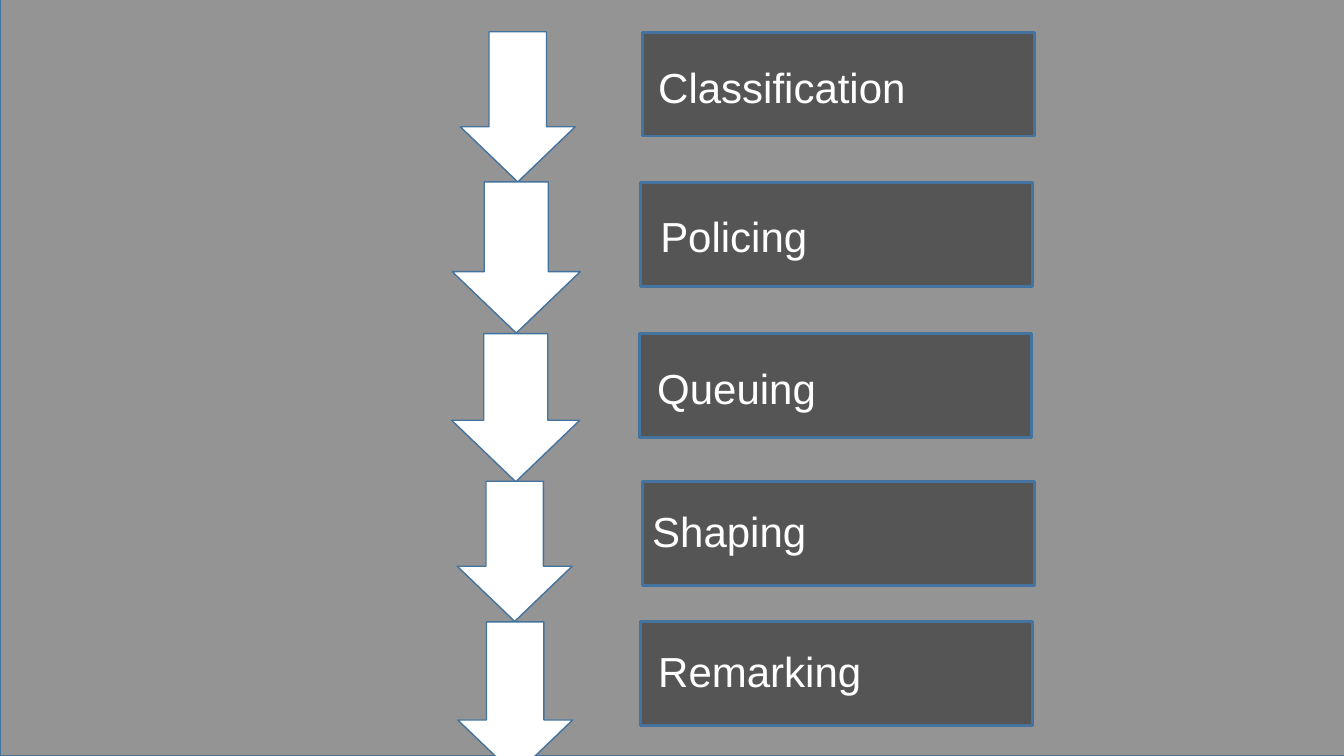
"""Build a slide showing five traffic-handling stages linked by arrows."""
import pptx
import pptx.dml.color
import pptx.enum.shapes
import pptx.enum.text
import pptx.oxml
import pptx.oxml.ns
import pptx.util

Inches = pptx.util.Inches
SHAPES = pptx.enum.shapes.MSO_SHAPE


def color(value):
    return pptx.dml.color.RGBColor.from_string(value)


def add_outlined(kind, place, fill, line_width, opacity=100):
    shape = page.shapes.add_shape(kind, *[Inches(length) for length in place])
    shape.shadow.inherit = False
    shape.fill.solid()
    shape.fill.fore_color.rgb = color(fill)
    shape.line.color.rgb = color("43739E")
    shape.line.width = pptx.util.Pt(line_width)
    if opacity < 100:
        tint = shape.fill._xPr.find(".//" + pptx.oxml.ns.qn("a:srgbClr"))
        alpha = pptx.oxml.parse_xml(
            f'<a:alpha {pptx.oxml.ns.nsdecls("a")} val="{opacity * 1000}"/>')
        tint.append(alpha)
    return shape


deck = pptx.Presentation()
deck.slide_width = Inches(13.33)
deck.slide_height = Inches(7.5)
page = deck.slides.add_slide(deck.slide_layouts[6])

panel_width, panel_height = 3.89, 1.03
label_height = 1.45
stages = [
    {"name": "Classification", "panel": (6.37, 0.32), "label": (6.43, 0.17),
     "arrow": (4.39, 0.49, 1.49, 1.14)},
    {"name": "Policing", "panel": (6.35, 1.81), "label": (6.45, 1.64),
     "arrow": (4.37, 1.92, 1.5, 1.27)},
    {"name": "Queuing", "panel": (6.34, 3.31), "label": (6.42, 3.15),
     "arrow": (4.38, 3.41, 1.47, 1.27)},
    {"name": "Shaping", "panel": (6.37, 4.78), "label": (6.37, 4.57),
     "arrow": (4.41, 4.9, 1.39, 1.14)},
    {"name": "Remarking", "panel": (6.35, 6.17), "label": (6.43, 5.96),
     "arrow": (4.35, 6.36, 1.52, 1.14)},
]
frame_format = {"word_wrap": True,
                "vertical_anchor": pptx.enum.text.MSO_ANCHOR.MIDDLE}
font_format = {"name": "Arial", "size": pptx.util.Pt(30)}

add_outlined(SHAPES.RECTANGLE, (0, -0.07, 13.42, 7.57), "000000", 1, 42)

for stage in stages:
    add_outlined(SHAPES.RECTANGLE, (*stage["panel"], panel_width, panel_height),
                 "000000", 2, 42)

    arrow = add_outlined(SHAPES.RIGHT_ARROW, stage["arrow"], "FFFFFF", 1)
    arrow.rotation = 90
    arrow.adjustments[0] = 0.5
    arrow.adjustments[1] = 0.48

    label_place = (*stage["label"], panel_width, label_height)
    box = page.shapes.add_textbox(*[Inches(length) for length in label_place])
    for attribute, value in frame_format.items():
        setattr(box.text_frame, attribute, value)
    para = box.text_frame.paragraphs[0]
    para.line_spacing = 0.9
    span = para.add_run()
    span.text = stage["name"]
    for attribute, value in font_format.items():
        setattr(span.font, attribute, value)
    span.font.color.rgb = color("FFFFFF")

deck.save("out.pptx")
